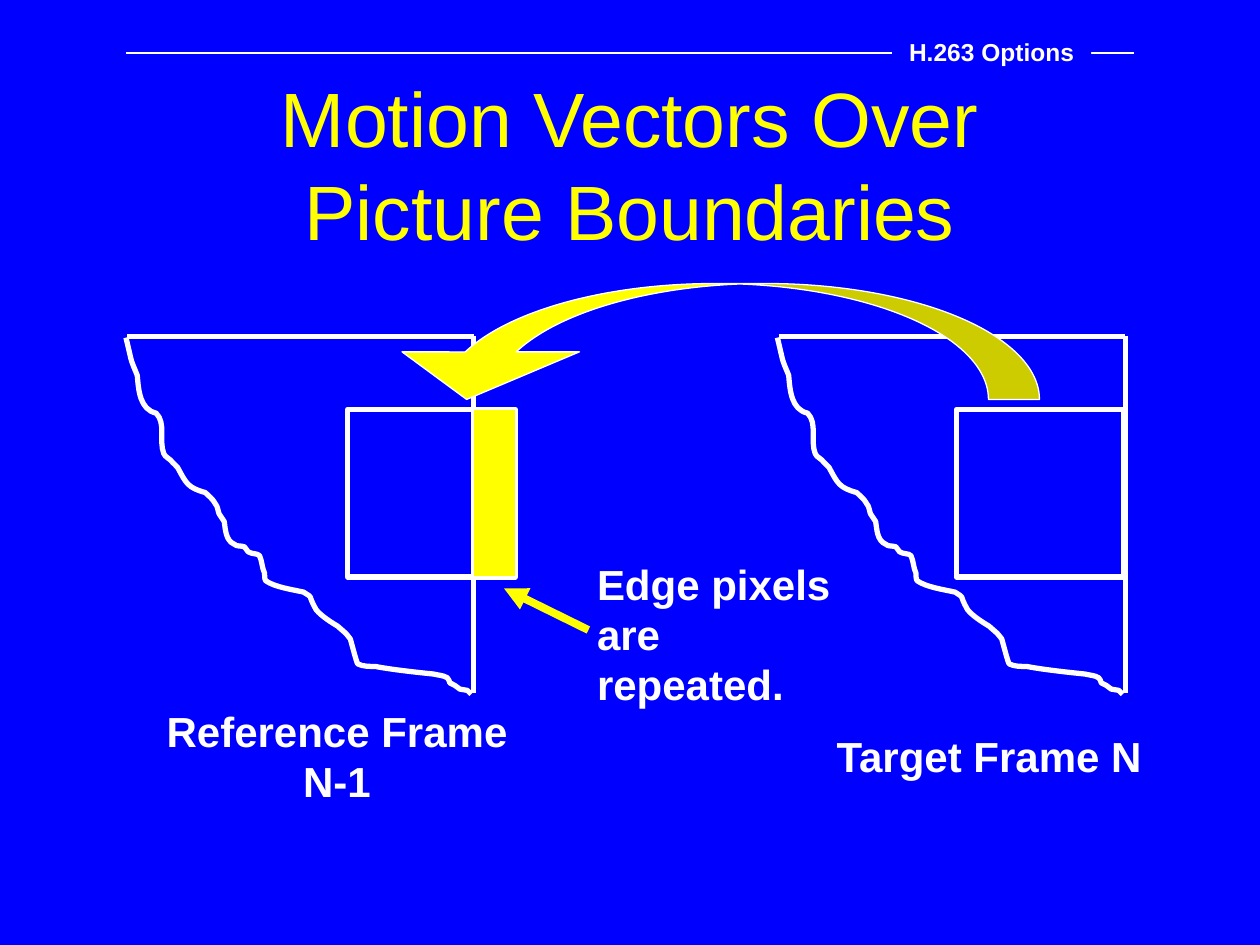
import pptx
import pptx.util
import pptx.dml.color
import pptx.enum.shapes
import pptx.enum.text
import pptx.oxml.ns
import lxml.etree

Inches = pptx.util.Inches
Pt = pptx.util.Pt
qn = pptx.oxml.ns.qn
SHAPE = pptx.enum.shapes.MSO_SHAPE
ALIGN = pptx.enum.text.PP_ALIGN
FIT = pptx.enum.text.MSO_AUTO_SIZE
COLORS = {
    name: pptx.dml.color.RGBColor.from_string(value)
    for name, value in {"blue": "0000FF", "yellow": "FFFF00", "white": "FFFFFF"}.items()
}

deck = pptx.Presentation()
deck.slide_width = Inches(10)
deck.slide_height = Inches(7.5)
slide = deck.slides.add_slide(deck.slide_layouts[6])
slide.background.fill.solid()
slide.background.fill.fore_color.rgb = COLORS["blue"]


def style(shape, fill, line_width):
    shape.shadow.inherit = False
    if fill:
        shape.fill.solid()
        shape.fill.fore_color.rgb = COLORS[fill]
    else:
        shape.fill.background()
    if line_width:
        shape.line.color.rgb = COLORS["white"]
        shape.line.width = Pt(line_width)
    else:
        shape.line.fill.background()


def add_line(start, end, color, width):
    line = slide.shapes.add_connector(
        pptx.enum.shapes.MSO_CONNECTOR.STRAIGHT,
        *(Inches(length) for length in start + end))
    line.line.color.rgb = COLORS[color]
    line.line.width = Pt(width)
    lxml.etree.SubElement(line._element.spPr, qn("a:effectLst"))
    return line


for block_left in (2.76, 7.59):
    block = slide.shapes.add_shape(
        SHAPE.RECTANGLE, Inches(block_left), Inches(3.25), Inches(1.33), Inches(1.33))
    style(block, None, 3)

torn_left, torn_top = 1, 2.68
torn_curves = [
    (1.06, 2.93, 1.03, 2.83, 1.09, 2.98), (1.1, 3.1, 1.11, 3.25, 1.24, 3.28),
    (1.32, 3.36, 1.26, 3.5, 1.3, 3.6), (1.31, 3.63, 1.35, 3.64, 1.37, 3.67),
    (1.38, 3.68, 1.41, 3.71, 1.41, 3.71), (1.48, 3.84, 1.49, 3.87, 1.63, 3.91),
    (1.66, 3.94, 1.69, 3.96, 1.71, 4), (1.73, 4.02, 1.73, 4.06, 1.74, 4.08),
    (1.75, 4.1, 1.77, 4.12, 1.78, 4.14), (1.79, 4.2, 1.79, 4.29, 1.86, 4.32),
    (1.88, 4.34, 1.91, 4.33, 1.94, 4.34), (1.95, 4.35, 1.96, 4.37, 1.97, 4.38),
    (2, 4.4, 2.04, 4.39, 2.06, 4.41), (2.08, 4.45, 2.08, 4.51, 2.1, 4.55),
    (2.1, 4.57, 2.1, 4.6, 2.11, 4.61), (2.18, 4.66, 2.32, 4.68, 2.41, 4.7),
    (2.5, 4.76, 2.43, 4.7, 2.51, 4.84), (2.55, 4.89, 2.63, 4.94, 2.68, 4.97),
    (2.77, 5.05, 2.73, 5.01, 2.78, 5.07), (2.79, 5.1, 2.83, 5.26, 2.84, 5.27),
    (2.88, 5.29, 2.93, 5.29, 2.98, 5.29), (3.13, 5.32, 3.44, 5.35, 3.44, 5.35),
    (3.48, 5.36, 3.52, 5.36, 3.55, 5.38), (3.57, 5.39, 3.56, 5.41, 3.57, 5.42),
    (3.58, 5.43, 3.6, 5.43, 3.61, 5.44), (3.62, 5.45, 3.64, 5.46, 3.65, 5.47),
    (3.67, 5.48, 3.69, 5.47, 3.71, 5.48), (3.72, 5.49, 3.74, 5.51, 3.74, 5.51),
]

for frame_shift in (0, 5.17):
    corner = (3.76 + frame_shift, 2.67)
    add_line((1.01 + frame_shift, 2.67), corner, "white", 3)
    add_line(corner, (corner[0], 5.5), "white", 3)
    builder = slide.shapes.build_freeform(Inches(torn_left + frame_shift), Inches(torn_top))
    builder.add_line_segments(
        [(Inches(curve[4] + frame_shift), Inches(curve[5])) for curve in torn_curves],
        close=False)
    torn_edge = builder.convert_to_shape()
    style(torn_edge, None, 3)
    segments = list(torn_edge._element.iter(qn("a:lnTo")))
    for segment, curve in zip(segments, torn_curves):
        segment.tag = qn("a:cubicBezTo")
        for position, (x, y) in enumerate((curve[:2], curve[2:4])):
            control = lxml.etree.Element(
                qn("a:pt"), x=str(Inches(x - torn_left)), y=str(Inches(y - torn_top)))
            segment.insert(position, control)

motion_vector = slide.shapes.add_shape(
    SHAPE.CURVED_DOWN_ARROW, Inches(3), Inches(2.25), Inches(5.25), Inches(0.92))
motion_vector._element.spPr.xfrm.set("flipH", "1")
for index, ratio in enumerate((0.44, 1.53, 0.41)):
    motion_vector.adjustments[index] = ratio
style(motion_vector, "yellow", 0.75)

repeated_edge = slide.shapes.add_shape(
    SHAPE.RECTANGLE, Inches(3.76), Inches(3.25), Inches(0.33), Inches(1.33))
style(repeated_edge, "yellow", 0.75)

edge_pointer = add_line((4.67, 5), (4, 4.67), "yellow", 4.5)
lxml.etree.SubElement(
    edge_pointer.line._get_or_add_ln(), qn("a:tailEnd"), type="triangle")

add_line((1, 0.42), (9, 0.42), "white", 0.75)
section = slide.shapes.add_shape(
    SHAPE.RECTANGLE, Inches(7.08), Inches(0.24), Inches(1.58), Inches(0.34))
style(section, "blue", None)

texts = [
    ("Motion Vectors Over\vPicture Boundaries", (0.75, 0.67, 8.5, 1.25), 44, "yellow", ALIGN.CENTER, True),
    ("Target Frame N", (6.53, 5.75, 2.64, 0.5), 24, "white", ALIGN.CENTER, False),
    ("Reference Frame N-1", (0.91, 5.75, 3.53, 0.5), 24, "white", ALIGN.CENTER, False),
    ("Edge pixels\nare repeated.", (4.64, 4.58, 2.27, 0.9), 24, "white", ALIGN.LEFT, False),
    ("H.263 Options", None, 14, "white", ALIGN.CENTER, True),
]
for wording, bounds, size, color, alignment, wraps in texts:
    holder = slide.shapes.add_textbox(*map(Inches, bounds)) if bounds else section
    frame = holder.text_frame
    frame.word_wrap = wraps
    frame.auto_size = FIT.NONE if wraps else FIT.SHAPE_TO_FIT_TEXT
    frame.vertical_anchor = pptx.enum.text.MSO_ANCHOR.MIDDLE
    frame.text = wording
    for paragraph in frame.paragraphs:
        paragraph.alignment = alignment
        paragraph.font.name = "Arial"
        paragraph.font.size = Pt(size)
        paragraph.font.bold = size < 44
        paragraph.font.color.rgb = COLORS[color]

deck.save("out.pptx")
